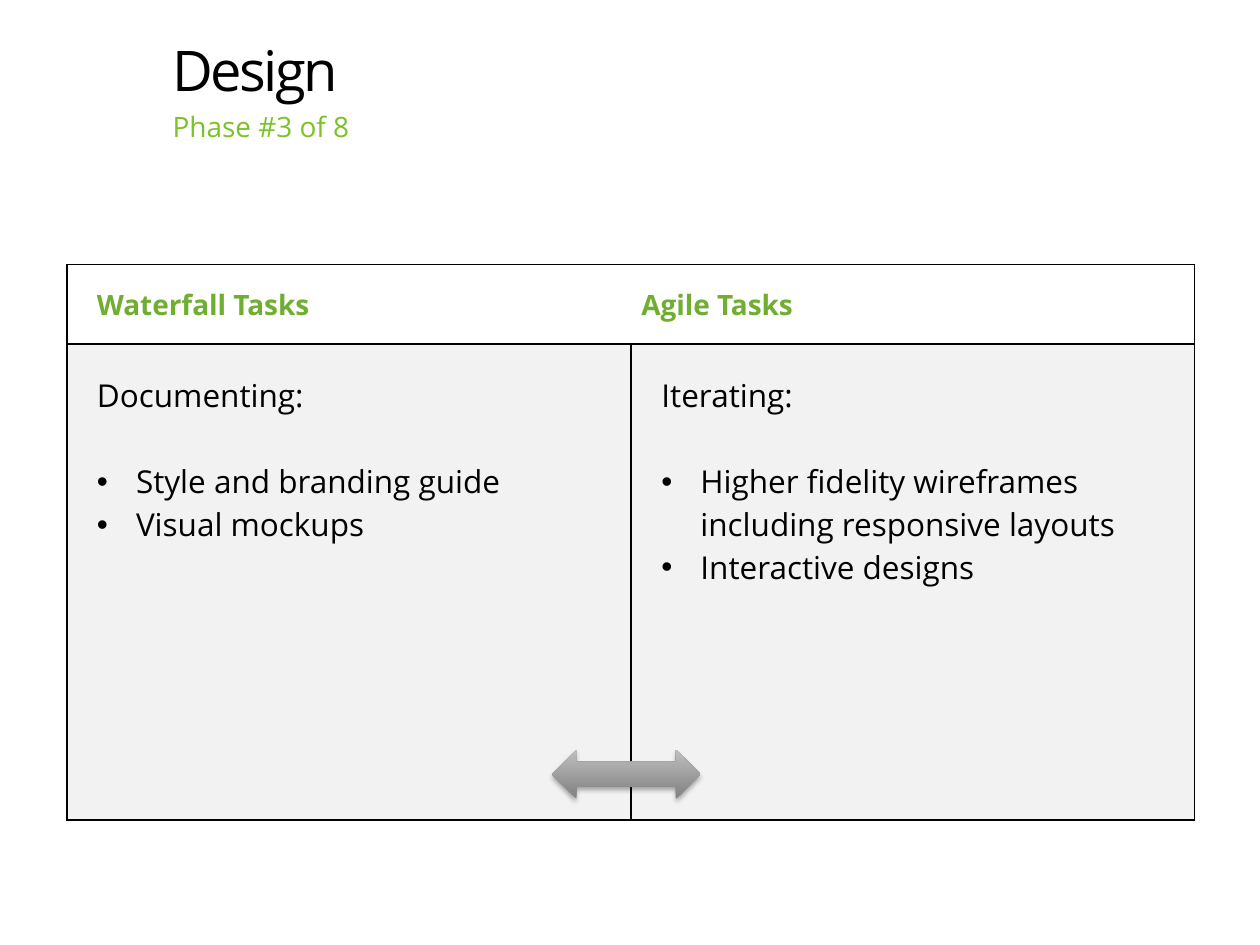
from lxml.etree import SubElement
from pptx import Presentation
from pptx.dml.color import RGBColor
from pptx.enum.shapes import MSO_SHAPE
from pptx.enum.text import MSO_ANCHOR, PP_ALIGN
from pptx.oxml import parse_xml
from pptx.oxml.ns import nsdecls, qn
from pptx.util import Inches, Pt

COLORS = {
    "black": "000000", "white": "FFFFFF", "phase": "7BC226", "heading": "70AE32",
    "panel": "F2F2F2", "arrow dark": "808080", "arrow light": "BFBFBF",
}
FONT = "Open Sans"


def color(name):
    return RGBColor.from_string(COLORS[name])


class SlideBuilder:
    def __init__(self, deck):
        self.page = deck.slides.add_slide(deck.slide_layouts[5])

    def format_runs(self, para, size, ink, bold=False):
        para.alignment = PP_ALIGN.LEFT
        for span in para.runs:
            span.font.name = FONT
            span.font.size = Pt(size)
            span.font.bold = bold
            span.font.color.rgb = color(ink)

    def fill_box(self, box, place, text, size, ink):
        box.left, box.top, box.width, box.height = map(Inches, place)
        frame = box.text_frame
        frame.word_wrap = True
        frame.vertical_anchor = MSO_ANCHOR.TOP
        frame.margin_left = frame.margin_right = Inches(0.07)
        frame.margin_top = frame.margin_bottom = Inches(0.03)
        frame.text = text
        self.format_runs(frame.paragraphs[0], size, ink)

    def title(self, text, place):
        box = self.page.shapes.title
        self.fill_box(box, place, text, 32, "black")
        for span in box.text_frame.paragraphs[0].runs:
            span.font._element.set("spc", "-150")

    def subtitle(self, text, place):
        box = self.page.shapes.add_textbox(*map(Inches, place))
        self.fill_box(box, place, text, 16, "phase")

    def style_cell(self, cell, fill, margins):
        cell.fill.solid()
        cell.fill.fore_color.rgb = color(fill)
        (cell.margin_left, cell.margin_top,
         cell.margin_right, cell.margin_bottom) = map(Inches, margins)
        for index, side in enumerate(("lnL", "lnR", "lnT", "lnB")):
            border = parse_xml(
                f'<a:{side} {nsdecls("a")} w="{Pt(1)}"><a:solidFill>'
                f'<a:srgbClr val="{COLORS["black"]}"/></a:solidFill></a:{side}>')
            cell._tc.get_or_add_tcPr().insert(index, border)

    def header(self, cell, headings, tab):
        cell.vertical_anchor = MSO_ANCHOR.MIDDLE
        para = cell.text_frame.paragraphs[0]
        para.text = "\t".join(headings)
        tabs = SubElement(para._p.get_or_add_pPr(), qn("a:tabLst"))
        SubElement(tabs, qn("a:tab"), pos=str(Inches(tab)), algn="l")
        self.format_runs(para, 16, "heading", bold=True)

    def task_list(self, cell, lead, tasks):
        frame = cell.text_frame
        frame.text = "\n".join([lead, *tasks])
        for para in frame.paragraphs[1:]:
            props = para._p.get_or_add_pPr()
            props.set("marL", str(Inches(0.31)))
            props.set("indent", str(-Inches(0.31)))
            SubElement(props, qn("a:buFont"), typeface="Arial")
            SubElement(props, qn("a:buChar"), char="•")
        frame.paragraphs[1].space_before = Pt(24.5)
        for para in frame.paragraphs:
            self.format_runs(para, 18, "black")

    def task_table(self, place, widths, heights, columns):
        table = self.page.shapes.add_table(
            2, len(columns), *map(Inches, place)).table
        for column, width in zip(table.columns, widths):
            column.width = Inches(width)
        for row, height in zip(table.rows, heights):
            row.height = Inches(height)
        for index, (_, lead, tasks) in enumerate(columns):
            self.style_cell(table.cell(0, index), "white", (0.24, 0, 0, 0))
            body = table.cell(1, index)
            self.style_cell(body, "panel", (0.24,) * 4)
            self.task_list(body, lead, tasks)
        table.cell(0, 0).merge(table.cell(0, len(columns) - 1))
        self.header(table.cell(0, 0), [column[0] for column in columns], 4.32)

    def double_arrow(self, place):
        arrow = self.page.shapes.add_shape(
            MSO_SHAPE.LEFT_RIGHT_ARROW, *map(Inches, place))
        arrow.line.fill.background()
        arrow.fill.gradient()
        arrow.fill.gradient_angle = 90
        for stop, name in zip(arrow.fill.gradient_stops,
                              ("arrow dark", "arrow light")):
            stop.color.rgb = color(name)
        # Soft shadow straight below
        arrow.shadow.inherit = False
        effects = arrow._element.spPr.find(qn("a:effectLst"))
        shadow = SubElement(effects, qn("a:outerShdw"), blurRad=str(Pt(3.1)),
                            dist=str(Pt(1.8)), dir="5400000", rotWithShape="0")
        tint = SubElement(shadow, qn("a:srgbClr"), val=COLORS["black"])
        SubElement(tint, qn("a:alpha"), val="35000")


def main():
    deck = Presentation()
    deck.slide_width, deck.slide_height = Inches(10), Inches(7.5)
    slide = SlideBuilder(deck)

    # Heading
    slide.title("Design", (1.3, 0.25, 8.27, 1.61))
    slide.subtitle("Phase #3 of 8", (1.3, 0.84, 8.19, 0.55))

    # Task comparison
    slide.task_table((0.53, 2.1, 8.95, 4.41), (4.48, 4.47), (0.63, 3.78), [
        ("Waterfall Tasks", "Documenting:",
         ["Style and branding guide", "Visual mockups"]),
        ("Agile Tasks", "Iterating:",
         ["Higher fidelity wireframes including responsive layouts",
          "Interactive designs"]),
    ])

    # Arrow across the divider
    slide.double_arrow((4.38, 5.95, 1.18, 0.39))

    deck.save("out.pptx")


if __name__ == "__main__":
    main()
